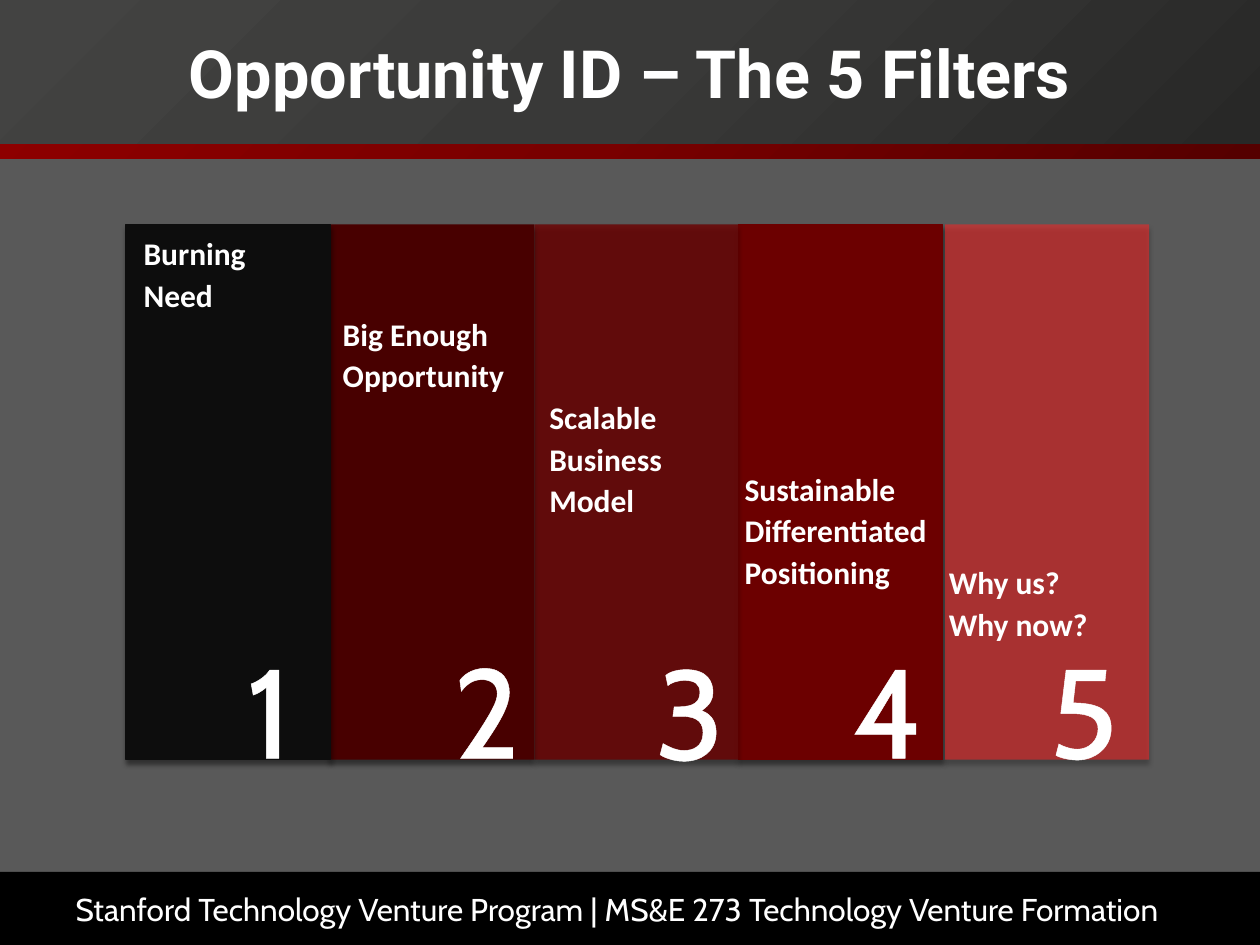
"""Build the Opportunity ID slide with its five filters."""
from lxml import etree
from pptx import Presentation
from pptx import util as u
from pptx.dml.color import RGBColor
from pptx.enum import shapes, text
from pptx.oxml import ns

PX = u.Inches(1) // 100
WHITE = "FFFFFF"
TITLE = "Opportunity ID – The 5 Filters"
FOOTER = "Stanford Technology Venture Program | MS&E 273 Technology Venture Formation"

FILTERS = [
    dict(label="Burning\nNeed", at=(109, 178, 250, 77), wrap=True,
         digit=(191, 485, 64, 143), fill="0D0D0D", edge=True),
    dict(label="Big Enough\nOpportunity", at=(267, 242, 139, 77),
         digit=(355, 485, 64, 143), fill="480000"),
    dict(label="Scalable\vBusiness\vModel", at=(431, 308, 100, 110),
         digit=(515, 486, 64, 143), fill="6C0000", alpha=80),
    dict(label="Sustainable\vDifferentiated\vPositioning", at=(586, 365, 157, 110),
         digit=(672, 485, 64, 143), fill="6C0000", edge=True),
    dict(label="Why us?\nWhy now?", at=(748, 439, 121, 77),
         digit=(828, 485, 61, 143), fill="FF2323", alpha=54, gap=2),
]
BAND_LEFT, BAND_TOP, BAND_WIDTH, BAND_HEIGHT = 100, 178, 162, 425

HEADERS = [
    ((0, 46, 1000, 80), ("550000", "790000", "900000"),
     '<a:path path="circle"><a:fillToRect l="100000" t="100000"/></a:path>'),
    ((0, 0, 1000, 114), ("282827", "393938", "434342"),
     '<a:lin ang="2700000" scaled="0"/>'),
]
LABEL_FONT = dict(name="Calibri", size=u.Pt(18), bold=True)
DIGIT_FONT = dict(name="Cabin", size=u.Pt(72))
FOOTER_FONT = dict(name="Cabin", size=u.Pt(18))
TITLE_FONT = dict(name="Roboto", size=u.Pt(38), bold=True)
INSETS = ("margin_left", "margin_top", "margin_right", "margin_bottom")


def rgb(color):
    """Turn a hex string into a colour."""
    return RGBColor.from_string(color)


def box(at):
    """Turn a px box into EMU."""
    return [PX * length for length in at]


def xml(tag, inner="", attributes=""):
    """Make a DrawingML element."""
    return etree.fromstring(
        f'<a:{tag} xmlns:a="{ns.nsuri("a")}" {attributes}>{inner}</a:{tag}>')


def style(target, values):
    """Set every attribute named in values."""
    for name, value in values.items():
        setattr(target, name, value)


def format_runs(frame, font):
    """Apply a white font to all runs of a frame."""
    for paragraph in frame.paragraphs:
        for run in paragraph.runs:
            style(run.font, font)
            run.font.color.rgb = rgb(WHITE)


def add_rectangle(slide, at, fill):
    """Add a flat rectangle without an outline."""
    rectangle = slide.shapes.add_shape(shapes.MSO_SHAPE.RECTANGLE, *box(at))
    rectangle.shadow.inherit = False
    rectangle.line.fill.background()
    rectangle.fill.solid()
    rectangle.fill.fore_color.rgb = rgb(fill)
    return rectangle


def add_header(slide, at, colors, direction):
    """Add a flipped rectangle with a three-stop gradient."""
    header = add_rectangle(slide, at, colors[0])
    properties = header._element.spPr
    for flip in ("flipH", "flipV"):
        properties.xfrm.set(flip, "1")
    stops = "".join(
        f'<a:gs pos="{50000 * i}"><a:srgbClr val="{color}"/></a:gs>'
        for i, color in enumerate(colors))
    solid = properties.find(ns.qn("a:solidFill"))
    properties.replace(solid, xml("gradFill", f"<a:gsLst>{stops}</a:gsLst>{direction}",
                                  'rotWithShape="1"'))


def add_band(slide, index, band):
    """Add one shadowed filter band."""
    left = BAND_LEFT + index * BAND_WIDTH + band.get("gap", 0)
    shape = add_rectangle(slide, (left, BAND_TOP, BAND_WIDTH, BAND_HEIGHT), band["fill"])
    properties = shape._element.spPr
    if "alpha" in band:
        color = properties.find(ns.qn("a:solidFill"))[0]
        color.append(xml("alpha", attributes=f'val="{band["alpha"] * 1000}"'))
    if band.get("edge"):
        shape.line.color.rgb = rgb(band["fill"])
        shape.line.width = u.Pt(0.79)
    properties.find(ns.qn("a:effectLst")).append(xml(
        "outerShdw", '<a:srgbClr val="000000"><a:alpha val="45000"/></a:srgbClr>',
        f'blurRad="{u.Pt(3)}" dist="{u.Pt(2.4)}" dir="5400000" rotWithShape="0"'))


def add_text(slide, at, words, font, wrap=False):
    """Add a white text box and return its frame."""
    frame = slide.shapes.add_textbox(*box(at)).text_frame
    frame.text = words
    style(frame, dict.fromkeys(INSETS, 5 * PX))
    style(frame, dict(word_wrap=wrap, auto_size=text.MSO_AUTO_SIZE.SHAPE_TO_FIT_TEXT))
    for paragraph in frame.paragraphs:
        paragraph.line_spacing = 1.1
    format_runs(frame, font)
    return frame


def main():
    """Assemble and save the slide."""
    deck = Presentation()
    deck.slide_width, deck.slide_height = box((1000, 750))
    slide = deck.slides.add_slide(deck.slide_layouts[5])
    slide.background.fill.solid()
    slide.background.fill.fore_color.rgb = rgb("595959")

    footer = add_rectangle(slide, (0, 692, 1000, 59), "000000").text_frame
    footer.text = FOOTER
    style(footer, dict(margin_left=60 * PX, word_wrap=True,
                       vertical_anchor=text.MSO_ANCHOR.MIDDLE))
    footer.paragraphs[0].alignment = text.PP_ALIGN.LEFT
    format_runs(footer, FOOTER_FONT)

    for header in HEADERS:
        add_header(slide, *header)
    for index in (3, 2, 1, 0, 4):
        add_band(slide, index, FILTERS[index])
    for number, band in enumerate(FILTERS, 1):
        add_text(slide, band["at"], band["label"], LABEL_FONT, band.get("wrap", False))
        digit = add_text(slide, band["digit"], str(number), DIGIT_FONT)
        outline = xml("ln", f'<a:solidFill><a:srgbClr val="{WHITE}"/></a:solidFill>',
                      f'w="{u.Pt(1.45)}"')
        digit.paragraphs[0].runs[0]._r.rPr.insert(0, outline)

    title = slide.shapes.title
    style(title, dict(zip(("left", "top", "width", "height"), box((25, 3, 950, 108)))))
    title.text_frame.text = TITLE
    title.text_frame.vertical_anchor = text.MSO_ANCHOR.MIDDLE
    title.text_frame.paragraphs[0].alignment = text.PP_ALIGN.CENTER
    format_runs(title.text_frame, TITLE_FONT)
    slide.shapes._spTree.append(title._element)

    deck.save("out.pptx")


if __name__ == "__main__":
    main()
